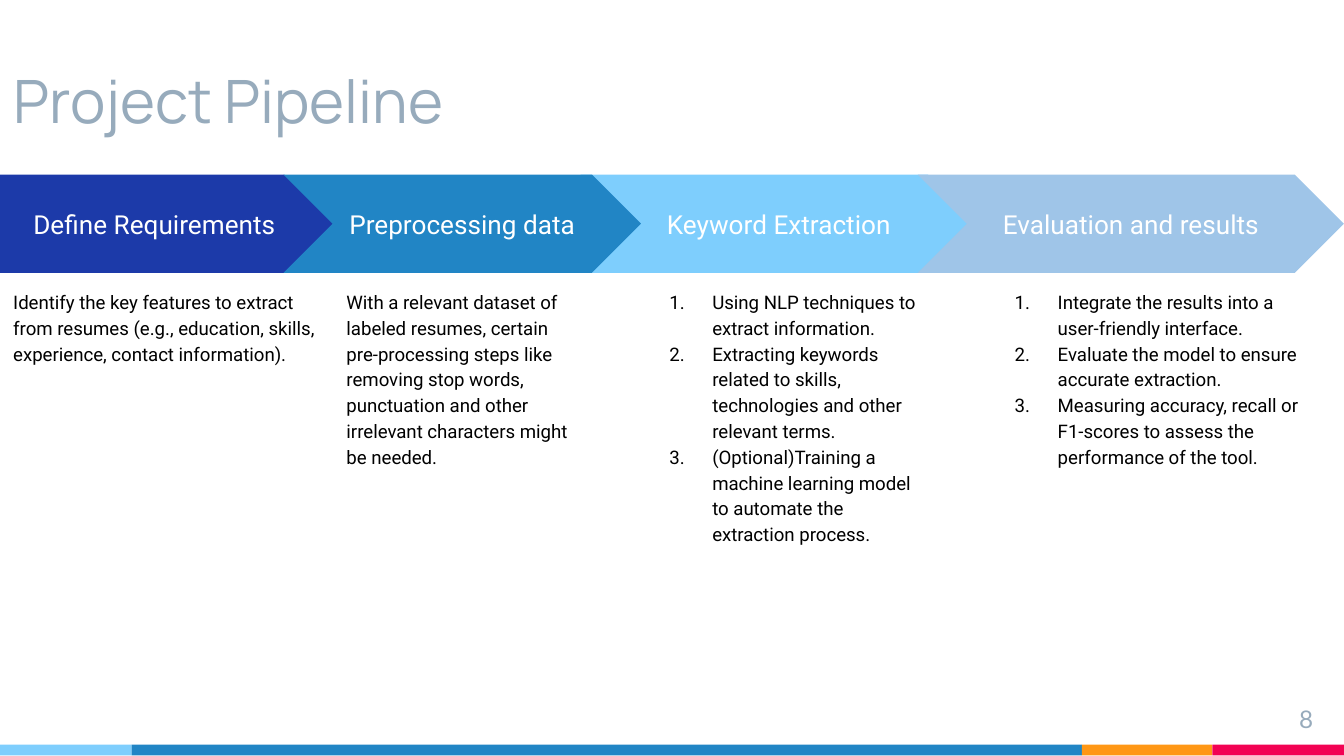
"""Build the project pipeline slide: four arrow stages with details below."""
from lxml.etree import SubElement
from pptx import Presentation
from pptx.dml.color import RGBColor
from pptx.enum.shapes import MSO_SHAPE as Shape
from pptx.enum.text import MSO_ANCHOR as Anchor, MSO_AUTO_SIZE as AutoSize, PP_ALIGN as Align
from pptx.oxml.ns import qn
from pptx.util import Inches, Pt

COLORS = {
    "navy": "1C3AA9", "blue": "2185C5", "sky": "7ECEFD", "pale": "9FC5E8",
    "orange": "FF9715", "pink": "F20253", "gray": "97ABBC",
    "white": "FFFFFF", "black": "000000",
}
TITLE = "Project Pipeline"
PAGE_NUMBER = "8"
FOOTER_BANDS = [("sky", 0.98), ("blue", 7.07), ("orange", 0.97), ("pink", 0.98)]
STAGES = [
    {"name": "Keyword Extraction", "color": "sky", "shape": Shape.CHEVRON,
     "arrow": (4.32, 2.95), "details": (4.7, 2.27), "placeholder": 1,
     "text": ["Using NLP techniques to extract information.",
              "Extracting keywords related to skills, technologies and other relevant terms.",
              "(Optional)Training a machine learning model to automate the extraction process."]},
    {"name": "Define Requirements", "color": "navy", "shape": Shape.PENTAGON,
     "arrow": (0, 2.48), "details": (0, 2.48),
     "text": ["Identify the key features to extract from resumes "
              "(e.g., education, skills, experience, contact information)."]},
    {"name": "Preprocessing data", "color": "blue", "shape": Shape.CHEVRON,
     "arrow": (2.11, 2.66), "details": (2.48, 1.93),
     "text": ["With a relevant dataset of labeled resumes, certain pre-processing steps like "
              "removing stop words, punctuation and other irrelevant characters might be needed."]},
    {"name": "Evaluation and results", "color": "pale", "shape": Shape.CHEVRON,
     "arrow": (6.83, 3.17), "details": (7.27, 2.6), "placeholder": 2,
     "text": ["Integrate the results into a user-friendly interface.",
              "Evaluate the model to ensure accurate extraction.",
              "Measuring accuracy, recall or F1-scores to assess the performance of the tool."]},
]
SLIDE_WIDTH = Inches(10)
SLIDE_HEIGHT = SLIDE_WIDTH * 9 // 16
ARROW_TOP, ARROW_HEIGHT = 1.3, 0.73
DETAILS_TOP, DETAILS_HEIGHT = 2.04, 2.86
FOOTER_TOP, FOOTER_HEIGHT = 5.54, 0.08
FORMATS = {
    "title": {"font": "Manrope", "size": 32, "color": "gray",
              "align": Align.LEFT, "anchor": Anchor.BOTTOM, "spacing": 1.0},
    "stage": {"font": "Roboto", "size": 14, "color": "white",
              "align": Align.CENTER, "anchor": Anchor.MIDDLE, "spacing": 1.0},
    "details": {"font": "Roboto", "size": 10, "color": "black",
                "align": Align.LEFT, "anchor": Anchor.TOP, "spacing": 1.15},
    "number": {"font": "Lato", "size": 13, "color": "gray",
               "align": Align.RIGHT, "anchor": Anchor.TOP, "spacing": 1.0},
}


def rgb(name):
    return RGBColor.from_string(COLORS[name])


def set_attributes(target, values):
    for name, value in values.items():
        setattr(target, name, value)


def place(shape, left, top, width, height):
    set_attributes(shape, {"left": Inches(left), "top": Inches(top),
                           "width": Inches(width), "height": Inches(height)})


def write(shape, lines, style, numbered=False):
    style = FORMATS[style]
    frame = shape.text_frame
    frame.text = "\n".join(lines)
    margins = {f"margin_{side}": Inches(0.1) for side in ("left", "top", "right", "bottom")}
    set_attributes(frame, {"word_wrap": True, "auto_size": AutoSize.NONE,
                           "vertical_anchor": style["anchor"], **margins})
    for paragraph in frame.paragraphs:
        set_attributes(paragraph, {"alignment": style["align"], "line_spacing": style["spacing"],
                                   "space_before": Pt(0), "space_after": Pt(0)})
        for run in paragraph.runs:
            set_attributes(run.font, {"name": style["font"], "size": Pt(style["size"])})
            run.font.color.rgb = rgb(style["color"])
        if numbered:
            add_number(paragraph, style)


def add_number(paragraph, style):
    properties = paragraph._p.get_or_add_pPr()
    properties.set("marL", str(Inches(0.5)))
    properties.set("indent", str(Inches(-0.32)))
    color = SubElement(properties, qn("a:buClr"))
    SubElement(color, qn("a:srgbClr"), val=COLORS[style["color"]])
    SubElement(properties, qn("a:buFont"), typeface=style["font"])
    SubElement(properties, qn("a:buAutoNum"), type="arabicPeriod")


def add_filled(slide, kind, box, color):
    shape = slide.shapes.add_shape(kind, *map(Inches, box))
    shape.shadow.inherit = False
    shape.fill.solid()
    shape.fill.fore_color.rgb = rgb(color)
    shape.line.fill.background()
    return shape


def add_stage(slide, stage):
    left, width = stage["arrow"]
    arrow = add_filled(slide, stage["shape"], (left, ARROW_TOP, width, ARROW_HEIGHT), stage["color"])
    arrow.adjustments[0] = 0.5
    write(arrow, [stage["name"]], "stage")

    left, width = stage["details"]
    numbered = "placeholder" in stage
    if numbered:
        details = slide.placeholders[stage["placeholder"]]
    else:
        details = slide.shapes.add_textbox(0, 0, 0, 0)
    place(details, left, DETAILS_TOP, width, DETAILS_HEIGHT)
    write(details, stage["text"], "details", numbered)


def main():
    presentation = Presentation()
    set_attributes(presentation, {"slide_width": SLIDE_WIDTH, "slide_height": SLIDE_HEIGHT})
    slide = presentation.slides.add_slide(presentation.slide_layouts.get_by_name("Two Content"))

    left = 0
    for color, width in FOOTER_BANDS:
        add_filled(slide, Shape.RECTANGLE, (left, FOOTER_TOP, width, FOOTER_HEIGHT), color)
        left += width

    place(slide.shapes.title, 0, 0.36, 8.16, 0.75)
    write(slide.shapes.title, [TITLE], "title")
    number = slide.shapes.add_textbox(*map(Inches, (9.27, 5.14, 0.6, 0.34)))
    write(number, [PAGE_NUMBER], "number")

    for stage in STAGES:
        add_stage(slide, stage)
    presentation.save("out.pptx")


if __name__ == "__main__":
    main()
